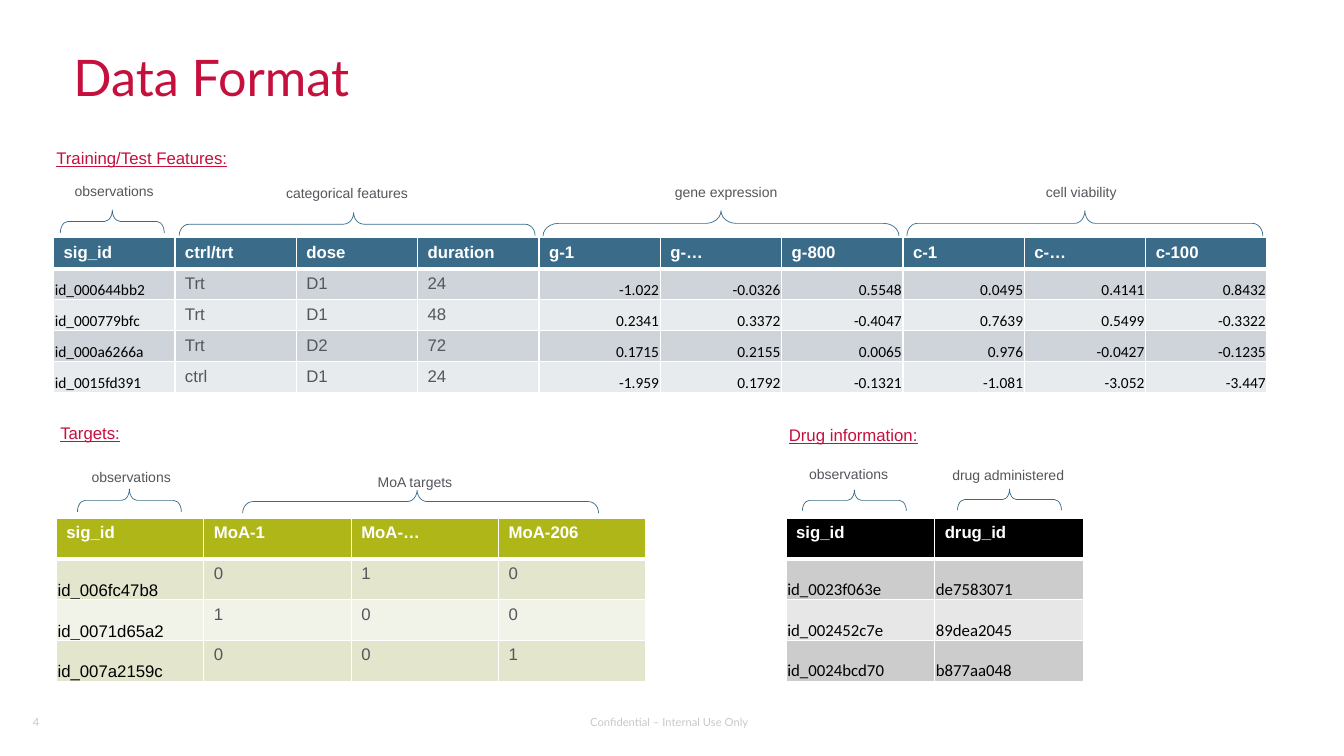
from lxml import etree
from pptx import Presentation
from pptx.dml.color import RGBColor
from pptx.enum import shapes, text
from pptx.oxml import ns
from pptx.util import Cm, Pt

RED, GREY, PALE, BLUE = "C50F3C", "54565B", "C6CAC6", "3A6C8A"
WHITE, BLACK = "FFFFFF", "000000"

# Column kinds: i = identifier, t = plain text, n = number
TABLES = [
    dict(box=(1.35, 5.99, 30.58, 3.91), kinds="itttnnnnnn", data_font=("Calibri", 11),
         fills=(BLUE, "CED4DA", "E8EBED"), rows=[
        ("sig_id", "ctrl/trt", "dose", "duration", "g-1", "g-…", "g-800", "c-1", "c-…", "c-100"),
        ("id_000644bb2", "Trt", "D1", "24",
         "-1.022", "-0.0326", "0.5548", "0.0495", "0.4141", "0.8432"),
        ("id_000779bfc", "Trt", "D1", "48",
         "0.2341", "0.3372", "-0.4047", "0.7639", "0.5499", "-0.3322"),
        ("id_000a6266a", "Trt", "D2", "72",
         "0.1715", "0.2155", "0.0065", "0.976", "-0.0427", "-0.1235"),
        ("id_0015fd391", "ctrl", "D1", "24",
         "-1.959", "0.1792", "-0.1321", "-1.081", "-3.052", "-3.447")]),
    dict(box=(1.42, 13.06, 14.86, 4.11), kinds="ittt", data_font=("Arial", 12),
         fills=("AEB618", "E3E5CC", "F2F3E8"), rows=[
        ("sig_id", "MoA-1", "MoA-…", "MoA-206"),
        ("id_006fc47b8", "0", "1", "0"),
        ("id_0071d65a2", "1", "0", "0"),
        ("id_007a2159c", "0", "0", "1")]),
    dict(box=(19.81, 13.06, 7.49, 4.11), kinds="ii", data_font=("Calibri", 12),
         fills=(BLACK, "CCCCCC", "E7E7E7"), rows=[
        ("sig_id", "drug_id"),
        ("id_0023f063e", "de7583071"),
        ("id_002452c7e", "89dea2045"),
        ("id_0024bcd70", "b877aa048")]),
]

# Words, left, top, width
HEADINGS = [
    ("Training/Test Features:", 1.17, 3.61, 4.85),
    ("Targets:", 1.27, 10.52, 2.03),
    ("Drug information:", 19.63, 10.59, 3.78),
]
LABELS = [
    ("observations", 1.63, 4.47, 3.05),
    ("categorical features", 6.96, 4.52, 3.89),
    ("gene expression", 16.76, 4.5, 3.89),
    ("cell viability", 26.11, 4.5, 3.89),
    ("observations", 2.06, 11.68, 3.05),
    ("MoA targets", 9.27, 11.81, 3.05),
    ("observations", 20.14, 11.61, 2.77),
    ("drug administered", 23.75, 11.63, 3.99),
]

# Centre x, centre y, span, depth, curl, position of the tip
WIDE, NARROW = 8.97, 2.62
BRACES = [
    (2.83, 5.58, NARROW, 0.58, 0.33, 0.5),
    (9, 5.65, WIDE, 0.58, 0.44, 0.51),
    (18.17, 5.63, WIDE, 0.64, 0.6, 0.5),
    (27.34, 5.63, WIDE, 0.64, 0.4, 0.5),
    (3.26, 12.61, NARROW, 0.58, 0.33, 0.5),
    (10.6, 12.64, WIDE, 0.58, 0.44, 0.51),
    (21.53, 12.61, NARROW, 0.53, 0.33, 0.5),
    (25.44, 12.59, NARROW, 0.53, 0.33, 0.5),
]


def color(value):
    return RGBColor.from_string(value)


def style(para, font, size, ink, bold=False, underline=False):
    for span in para.runs:
        span.font.name, span.font.size = font, Pt(size)
        span.font.color.rgb = color(ink)
        span.font.bold, span.font.underline = bold, underline


def add_text(page, words, left, top, width, height, font, size, ink,
             anchor=text.MSO_ANCHOR.TOP, wrap=True, grow=False, underline=False):
    box = page.shapes.add_textbox(Cm(left), Cm(top), Cm(width), Cm(height))
    frame = box.text_frame
    frame.text = words
    frame.word_wrap, frame.vertical_anchor = wrap, anchor
    if grow:
        frame.auto_size = text.MSO_AUTO_SIZE.SHAPE_TO_FIT_TEXT
    para = frame.paragraphs[0]
    style(para, font, size, ink, underline=underline)
    return para


def add_brace(page, x, y, span, depth, curl, tip):
    """Add a left brace turned a quarter so that it opens downwards."""
    brace = page.shapes.add_shape(shapes.MSO_SHAPE.LEFT_BRACE, Cm(x - depth / 2),
                                  Cm(y - span / 2), Cm(depth), Cm(span))
    brace.rotation = 90
    brace.adjustments[0], brace.adjustments[1] = curl, tip
    brace.shadow.inherit = False
    brace.fill.background()
    brace.line.color.rgb, brace.line.width = color(BLUE), Pt(0.5)


def add_borders(cell, top, bottom):
    """Draw white cell borders; the side borders are 1 pt wide."""
    properties = cell._tc.get_or_add_tcPr()
    for place, (side, width) in enumerate(zip("LRTB", (1, 1, top, bottom))):
        line = etree.Element(ns.qn(f"a:ln{side}"), w=str(Pt(width)))
        fill = etree.SubElement(line, ns.qn("a:solidFill"))
        etree.SubElement(fill, ns.qn("a:srgbClr"), val=WHITE)
        properties.insert(place, line)


def add_data_table(page, box, kinds, data_font, fills, rows):
    left, top, width, height = box
    table = page.shapes.add_table(len(rows), len(kinds), Cm(left), Cm(top),
                                  Cm(width), Cm(height)).table
    table.horz_banding = False
    for column in table.columns:
        column.width = Cm(width / len(kinds))
    for r, row in enumerate(rows):
        table.rows[r].height = Cm(height / len(rows))
        for c, (words, kind) in enumerate(zip(row, kinds)):
            cell = table.cell(r, c)
            cell.text = words
            para = cell.text_frame.paragraphs[0]
            if r == 0:
                fill = fills[0]
                style(para, "Arial", 12, WHITE, bold=True)
            else:
                fill = fills[2 - r % 2]
                if kind == "t":
                    style(para, "Arial", 12, GREY)
                else:
                    style(para, *data_font, BLACK)
                    cell.vertical_anchor = text.MSO_ANCHOR.BOTTOM
                    cell.margin_left = cell.margin_right = cell.margin_top = Cm(0.03)
                    cell.margin_bottom = 0
                if kind == "n":
                    para.alignment = text.PP_ALIGN.RIGHT
            cell.fill.solid()
            cell.fill.fore_color.rgb = color(fill)
            add_borders(cell, 3 if r == 1 else 1, 3 if r == 0 else 1)


def main():
    deck = Presentation()
    deck.slide_width, deck.slide_height = Cm(33.87), Cm(19.05)
    page = deck.slides.add_slide(deck.slide_layouts[6])

    title = add_text(page, "Data Format", 1.6, 1.02, 30.48, 1.78, "Lato", 36, RED,
                     anchor=text.MSO_ANCHOR.BOTTOM)
    title.line_spacing = 0.8
    for table in TABLES:
        add_data_table(page, **table)
    for brace in BRACES:
        add_brace(page, *brace)
    for heading in HEADINGS:
        add_text(page, *heading, 0.76, "Arial", 12, RED, wrap=False, grow=True, underline=True)
    for label in LABELS:
        add_text(page, *label, 0.69, "Arial", 10, GREY, grow=True)

    footer = add_text(page, "Confidential – Internal Use Only", 13.06, 17.78, 7.62, 0.81,
                      "Lato", 8, PALE, anchor=text.MSO_ANCHOR.MIDDLE)
    footer.alignment = text.PP_ALIGN.CENTER
    add_text(page, "4", 0.58, 17.78, 7.62, 0.81, "Lato", 8, PALE,
             anchor=text.MSO_ANCHOR.MIDDLE)
    deck.save("out.pptx")


if __name__ == "__main__":
    main()
